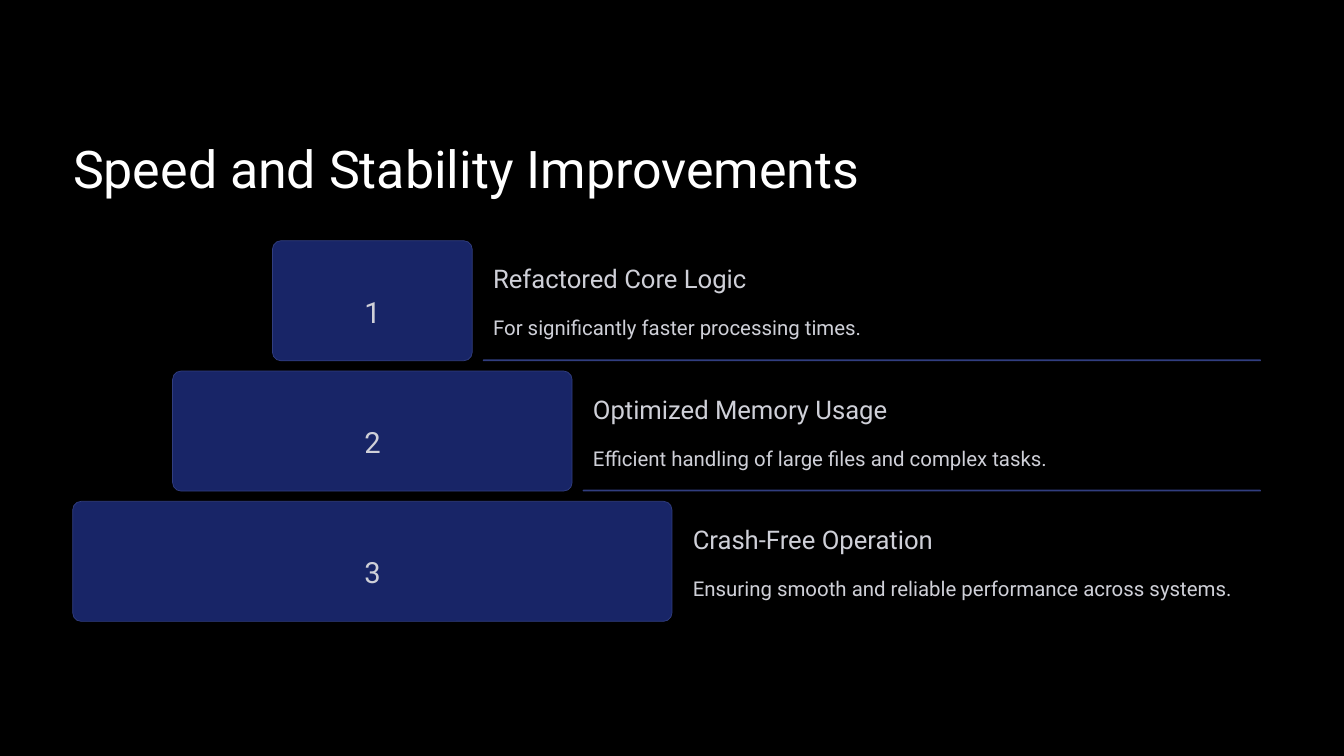
from pptx import Presentation
from pptx.dml.color import RGBColor
from pptx.enum.shapes import MSO_SHAPE as Shape
from pptx.enum.text import PP_ALIGN as Align
from pptx.util import Cm, Pt

FONT = "Roboto"
WHITE, GREY, NAVY, EDGE = "FFFFFF", "CFD0D8", "182567", "313E80"
LEFT, RIGHT, CENTER = 2.21, 38.13, 11.26
TOP, PITCH, HEIGHT, STEP = 7.28, 3.94, 3.63, 6.04

LEVELS = [
    ("Refactored Core Logic", 7.87,
     "For significantly faster processing times.", 11.38),
    ("Optimized Memory Usage", 9.09,
     "Efficient handling of large files and complex tasks.", 14.07),
    ("Crash-Free Operation", 7.87,
     "Ensuring smooth and reliable performance across systems.", 16.64),
]


def rgb(color):
    """Turn a hex string into a colour."""
    return RGBColor.from_string(color)


def add_text(s, text, x, y, w, h, *, size, spacing, color=GREY, align=Align.LEFT):
    """Add one line of text in a box without margins."""
    tf = s.shapes.add_textbox(Cm(x), Cm(y), Cm(w), Cm(h)).text_frame
    tf.margin_left = tf.margin_top = tf.margin_right = tf.margin_bottom = 0
    tf.word_wrap = False
    p = tf.paragraphs[0]
    p.alignment = align
    p.line_spacing = Pt(spacing)
    r = p.add_run()
    r.text = text
    r.font.name = FONT
    r.font.size = Pt(size)
    r.font.color.rgb = rgb(color)


def add_bar(s, x, y, w, h, *, fill, radius, line=None):
    """Add a rounded bar with an optional outline."""
    sp = s.shapes.add_shape(Shape.ROUNDED_RECTANGLE, Cm(x), Cm(y), Cm(w), Cm(h))
    sp.adjustments[0] = radius
    sp.shadow.inherit = False
    sp.fill.solid()
    sp.fill.fore_color.rgb = rgb(fill)
    if line:
        sp.line.color.rgb = rgb(line)
        sp.line.width = Pt(0.6)
    else:
        sp.line.fill.background()


def add_level(s, number, heading, heading_w, body, body_w):
    """Add a pyramid level with its number, heading and body."""
    y = TOP + (number - 1) * PITCH
    w = number * STEP
    edge = CENTER + w / 2
    add_bar(s, CENTER - w / 2, y, w, HEIGHT, fill=NAVY, radius=0.07, line=EDGE)
    add_text(s, str(number), CENTER - 0.44, y + 1.26, 0.89, 1.12,
             size=25, spacing=40, align=Align.CENTER)
    add_text(s, heading, edge + 0.63, y + 0.64, heading_w, 0.99,
             size=22, spacing=27.5)
    add_text(s, body, edge + 0.63, y + 1.99, body_w, 1.02,
             size=17.5, spacing=28.5)
    if number < len(LEVELS):
        x = edge + 0.32
        add_bar(s, x, y + 3.59, RIGHT - x, 0.05, fill=EDGE, radius=0.5)


def main():
    """Build the slide and save it."""
    prs = Presentation()
    prs.slide_width, prs.slide_height = Cm(40.64), Cm(22.86)
    s = prs.slides.add_slide(prs.slide_layouts[6])
    s.background.fill.solid()
    s.background.fill.fore_color.rgb = rgb("000000")
    add_text(s, "Speed and Stability Improvements", LEFT, 4.06, 24.08, 1.98,
             size=44.5, spacing=55.5, color=WHITE)
    for number, level in enumerate(LEVELS, 1):
        add_level(s, number, *level)
    prs.save("out.pptx")


if __name__ == "__main__":
    main()
